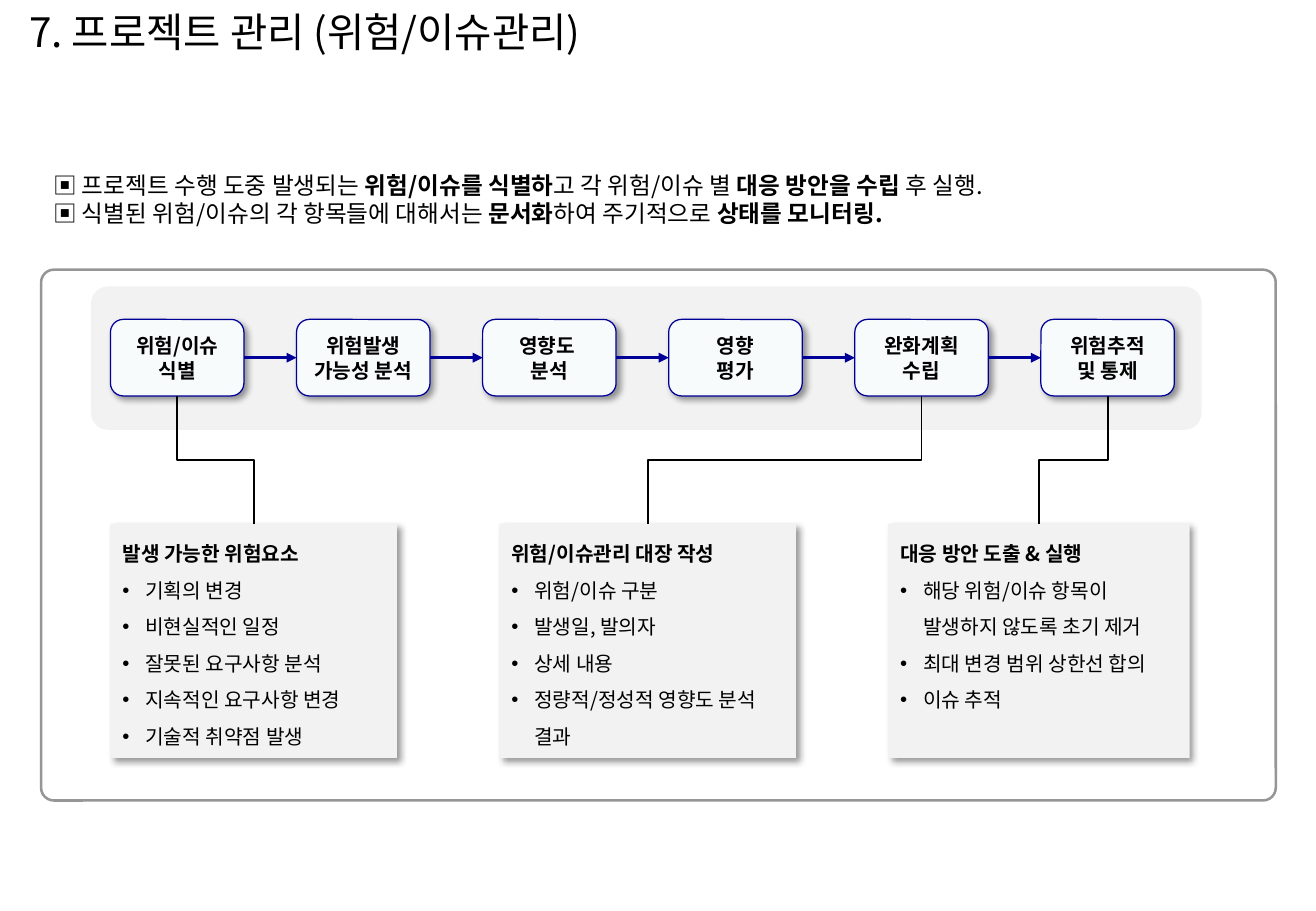
from lxml import etree
from pptx import Presentation
from pptx import util as u
from pptx.dml.color import RGBColor
from pptx.enum import shapes, text
from pptx.oxml import ns

FONT = "Noto Sans CJK KR"
BLACK = RGBColor(0x00, 0x00, 0x00)
NAVY = RGBColor(0x00, 0x00, 0x99)
PALE = RGBColor(0xF8, 0xFB, 0xFC)
LIGHT = RGBColor(0xF2, 0xF2, 0xF2)
GRAY = RGBColor(0x96, 0x96, 0x96)

TITLE = "7. 프로젝트 관리 (위험/이슈관리)"
INTRO = [
    (26, ["▣ 프로젝트 수행 도중 발생되는 ", "위험/이슈를 식별하", "고 각 위험/이슈 별 ",
          "대응 방안을 수립 ", "후 실행."]),
    (16.6, ["▣ 식별된 위험/이슈의 각 항목들에 대해서는 ", "문서화",
            "하여 주기적으로 ", "상태를 모니터링."]),
]
STEPS = ["위험/이슈 식별", "위험발생 가능성 분석", "영향도 \v분석",
         "영향\v평가", "완화계획\v수립", "위험추적\v및 통제"]
CARDS = [
    (0, 5.99, "발생 가능한 위험요소",
     ["기획의 변경", "비현실적인 일정", "잘못된 요구사항 분석",
      "지속적인 요구사항 변경", "기술적 취약점 발생"]),
    (4, 6.2, "위험/이슈관리 대장 작성",
     ["위험/이슈 구분", "발생일, 발의자", "상세 내용", "정량적/정성적 영향도 분석 결과"]),
    (5, 6.3, "대응 방안 도출 & 실행",
     ["해당 위험/이슈 항목이 발생하지 않도록 초기 제거", "최대 변경 범위 상한선 합의", "이슈 추적"]),
]


def apply(target, **values):
    for name, value in values.items():
        setattr(target, name, value)


def add_element(parent, tag, **attributes):
    return etree.SubElement(parent, ns.qn(tag), attributes)


def style_font(font, size, bold=False):
    apply(font, name=FONT, size=u.Pt(size), bold=bold)
    font.color.rgb = BLACK
    properties = font._element
    for tag in ("a:ea", "a:sym"):
        add_element(properties, tag, typeface=FONT)


def add_text(paragraph, content, size, bold=False):
    paragraph.text = content
    for run in paragraph.runs:
        style_font(run.font, size, bold)


def add_panel(slide, kind, box, fill=None, line=None, width=1, radius=None, shadow=False):
    shape = slide.shapes.add_shape(kind, *map(u.Cm, box))
    shape.shadow.inherit = False
    if radius is not None:
        shape.adjustments[0] = radius
    if fill is None:
        shape.fill.background()
    else:
        shape.fill.solid()
        shape.fill.fore_color.rgb = fill
    if line is None:
        shape.line.fill.background()
    else:
        shape.line.color.rgb = line
        shape.line.width = u.Pt(width)
    if shadow:
        effects = shape._element.spPr.find(ns.qn("a:effectLst"))
        outer = add_element(effects, "a:outerShdw", blurRad=str(u.Pt(4)), dist=str(u.Pt(3)),
                            dir="2700000", algn="tl", rotWithShape="0")
        color = add_element(outer, "a:srgbClr", val=str(BLACK))
        add_element(color, "a:alpha", val="40000")
    return shape


def add_link(slide, kind, ends, color, width):
    connector = slide.shapes.add_connector(kind, *map(u.Cm, ends))
    connector.line.color.rgb = color
    connector.line.width = u.Pt(width)
    add_element(connector._element.spPr, "a:effectLst")
    return connector


def add_arrow(slide, start, end):
    arrow = add_link(slide, shapes.MSO_CONNECTOR.STRAIGHT, (0, 0, 1, 1), NAVY, 1.5)
    arrow.begin_connect(start, 3)
    arrow.end_connect(end, 1)
    add_element(arrow.line._get_or_add_ln(), "a:tailEnd", type="triangle")


def add_elbow(slide, step, card):
    start_x = (step.left + step.width / 2) / u.Cm(1)
    start_y = (step.top + step.height) / u.Cm(1)
    end_x = (card.left + card.width / 2) / u.Cm(1)
    end_y = card.top / u.Cm(1)
    x, y = (start_x + end_x) / 2, (start_y + end_y) / 2
    half_drop, half_run = (end_y - start_y) / 2, (start_x - end_x) / 2
    ends = (x - half_drop, y - half_run, x + half_drop, y + half_run)
    elbow = add_link(slide, shapes.MSO_CONNECTOR.ELBOW, ends, BLACK, 1)
    elbow._element.spPr.find(ns.qn("a:xfrm")).set("rot", "5400000")


def add_title(slide, box):
    frame = slide.shapes.add_textbox(*map(u.Cm, box)).text_frame
    apply(frame, word_wrap=True, vertical_anchor=text.MSO_ANCHOR.MIDDLE)
    add_text(frame.paragraphs[0], TITLE, 24)


def add_intro(slide, box):
    frame = slide.shapes.add_textbox(*map(u.Cm, box)).text_frame
    frame.word_wrap = True
    for index, (spacing, parts) in enumerate(INTRO):
        paragraph = frame.add_paragraph() if index else frame.paragraphs[0]
        paragraph.line_spacing = u.Pt(spacing)
        for position, part in enumerate(parts):
            run = paragraph.add_run()
            run.text = part
            style_font(run.font, 14, position % 2 == 1)


def add_steps(slide, box):
    left, top, width, height = box
    add_panel(slide, shapes.MSO_SHAPE.ROUNDED_RECTANGLE, box, LIGHT, radius=0.12)
    steps = []
    for index, label in enumerate(STEPS):
        step_box = (left + 0.41 + 3.89 * index, top + 0.69, 2.79, 1.6)
        step = add_panel(slide, shapes.MSO_SHAPE.ROUNDED_RECTANGLE, step_box,
                         PALE, NAVY, 0.75, shadow=True)
        frame = step.text_frame
        apply(frame, word_wrap=True, vertical_anchor=text.MSO_ANCHOR.MIDDLE,
              margin_left=u.Cm(0.1), margin_right=u.Cm(0.1))
        paragraph = frame.paragraphs[0]
        apply(paragraph, alignment=text.PP_ALIGN.CENTER, line_spacing=u.Pt(14.8))
        add_text(paragraph, label, 12, True)
        steps.append(step)
    for start, end in zip(steps, steps[1:]):
        add_arrow(slide, start, end)
    return steps


def add_card(slide, box, heading, items):
    card = add_panel(slide, shapes.MSO_SHAPE.RECTANGLE, box, LIGHT, shadow=True)
    frame = card.text_frame
    apply(frame, word_wrap=True, vertical_anchor=text.MSO_ANCHOR.TOP, margin_right=u.Cm(0.1))
    for index, content in enumerate([heading, *items]):
        paragraph = frame.add_paragraph() if index else frame.paragraphs[0]
        apply(paragraph, alignment=text.PP_ALIGN.LEFT, line_spacing=u.Pt(21.6))
        if index:
            properties = paragraph._p.get_or_add_pPr()
            properties.set("marL", str(u.Cm(0.48)))
            properties.set("indent", str(-u.Cm(0.48)))
            add_element(properties, "a:buFont", typeface="Arial")
            add_element(properties, "a:buChar", char="•")
        add_text(paragraph, content, 12, index == 0)
    return card


def add_process(slide, box):
    left, top, width, height = box
    steps = add_steps(slide, (left + 1.04, top + 0.35, 23.22, 3))
    for index, (step, card_width, heading, items) in enumerate(CARDS):
        card_box = (left + 1.45 + 8.13 * index, top + 5.31, card_width, 4.9)
        card = add_card(slide, card_box, heading, items)
        add_elbow(slide, steps[step], card)
    add_panel(slide, shapes.MSO_SHAPE.ROUNDED_RECTANGLE, box, line=GRAY, width=1.5, radius=0.024)


def main():
    presentation = Presentation()
    apply(presentation, slide_width=u.Cm(27.51), slide_height=u.Cm(19.05))
    slide = presentation.slides.add_slide(presentation.slide_layouts[6])
    add_title(slide, (0.36, 0.05, 24.13, 1.19))
    add_intro(slide, (0.86, 3.12, 22.23, 1.75))
    add_process(slide, (0.86, 5.64, 25.81, 11.1))
    presentation.save("out.pptx")


if __name__ == "__main__":
    main()
